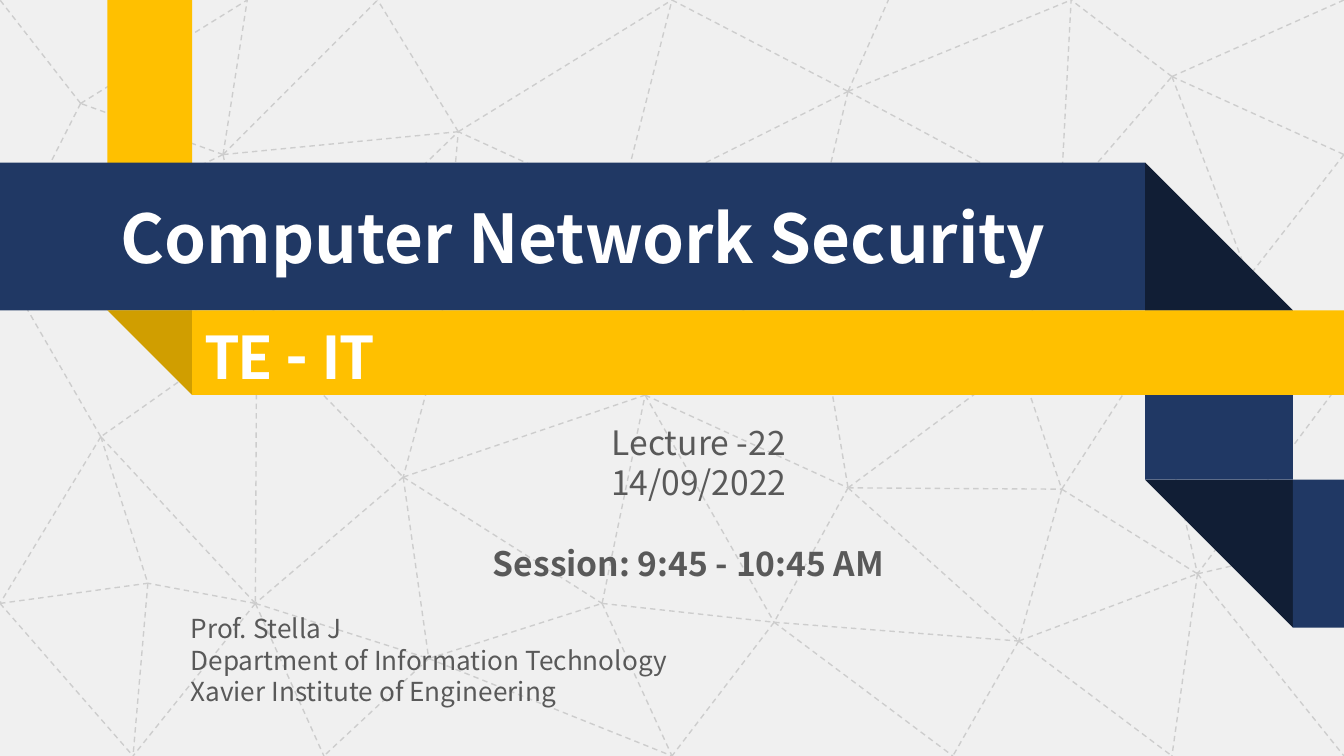
from dataclasses import dataclass

from lxml import etree
from pptx import Presentation
from pptx.dml.color import RGBColor
from pptx.enum import dml, shapes, text
from pptx.oxml import ns
from pptx.util import Inches, Pt


@dataclass(frozen=True)
class Theme:
    paper: str = "F0F0F0"
    mesh: str = "CDCDCD"
    navy: str = "203864"
    navy_fold: str = "111E35"
    gold: str = "FFC000"
    gold_fold: str = "D09E00"
    white: str = "FFFFFF"
    grey: str = "595959"
    font: str = "Noto Sans CJK SC"
    banner_font: str = "Calibri"
    heading: int = 36
    session: int = 18
    author: int = 14
    mesh_width: float = 0.75


THEME = Theme()
WIDTH = 10
HEIGHT = WIDTH * 9 / 16

# Ribbon edges shared by the bands and their folds
NAVY_TOP, NAVY_H = 1.21, 1.1
GOLD_LEFT, GOLD_W = 0.8, 0.63
GOLD_TOP = NAVY_TOP + NAVY_H
GOLD_RIGHT = GOLD_LEFT + GOLD_W
FOLD_LEFT = 8.52
FOLD_RIGHT = FOLD_LEFT + NAVY_H
FOLD_TOP = 3.57

MESH_NODES = {
    "A": (1.66, 1.15), "B": (1.84, 0), "C": (0, 1.95), "D": (2.81, 0),
    "E": (3.41, 0.98), "F": (1.91, 2.43), "G": (3.27, 2.56), "H": (3, 3.55),
    "I": (1.9, 4.49), "J": (0.75, 3.25), "K": (0, 4.49), "L": (1.1, 4.34),
    "M": (0.99, HEIGHT), "N": (3.19, 4.9), "O": (2.41, HEIGHT),
    "P": (4.48, 4.49), "Q": (5, HEIGHT), "R": (4.8, 2.94), "S": (4.61, 1.53),
    "T": (5, 0), "U": (6.31, 0.68), "V": (6.02, 1.89), "W": (6.31, 3.63),
    "X": (5.76, 4.63), "Y": (6.61, 0), "Z": (7.89, 1.53), "a": (7.58, 2.69),
    "b": (7.9, 3.64), "c": (7.58, 4.77), "d": (7.09, HEIGHT),
    "e": (8.72, HEIGHT), "f": (8.54, 2.65), "g": (8.72, 0.57), "h": (7.97, 0),
    "i": (WIDTH, 0), "j": (WIDTH, 1.15), "k": (9.29, 2.06),
    "l": (WIDTH, 2.81), "m": (8.91, 4.27), "n": (WIDTH, HEIGHT),
    "o": (WIDTH, 4.02), "p": (0.6, 0.77), "q": (0, 0),
}
# Each node with the neighbours it is joined to
MESH_EDGES = {
    "A": "BCDEFp", "E": "DT", "F": "ECHIJ", "G": "HRES", "H": "INPR",
    "I": "JMNOL", "J": "CKL", "K": "LM", "L": "M", "N": "OPQ", "P": "QRX",
    "R": "SVWX", "S": "ETU", "T": "U", "U": "VYZh", "V": "Wa", "W": "Xabc",
    "X": "Qcd", "Z": "afghk", "a": "b", "b": "cfm", "c": "dem", "f": "klm",
    "g": "hijk", "j": "k", "k": "l", "l": "m", "m": "eno", "p": "BCq",
}


def rgb(colour):
    return RGBColor.from_string(colour)


def add_block(slide, box, colour, kind=shapes.MSO_SHAPE.RECTANGLE):
    block = slide.shapes.add_shape(kind, *map(Inches, box))
    block.shadow.inherit = False
    block.fill.solid()
    block.fill.fore_color.rgb = rgb(colour)
    block.line.fill.background()
    return block


def add_fold(slide, left, top, size, colour, rotation=0):
    fold = add_block(slide, (left, top, size, size), colour,
                     shapes.MSO_SHAPE.RIGHT_TRIANGLE)
    fold.rotation = rotation


def add_mesh(slide):
    for start, neighbours in MESH_EDGES.items():
        for end in neighbours:
            edge = slide.shapes.add_connector(
                shapes.MSO_CONNECTOR.STRAIGHT,
                *map(Inches, MESH_NODES[start] + MESH_NODES[end]))
            edge.line.color.rgb = rgb(THEME.mesh)
            edge.line.width = Pt(THEME.mesh_width)
            edge.line.dash_style = dml.MSO_LINE.DASH
            etree.SubElement(edge._element.spPr, ns.qn("a:effectLst"))


def add_line(paragraph, words, size, colour, bold=False, font=THEME.font,
             align=text.PP_ALIGN.LEFT):
    paragraph.alignment = align
    run = paragraph.add_run()
    run.text = words
    run.font.name = font
    run.font.size = Pt(size)
    run.font.bold = bold
    run.font.color.rgb = rgb(colour)


def add_text_frame(slide, box, wrap=True):
    frame = slide.shapes.add_textbox(*map(Inches, box)).text_frame
    frame.word_wrap = wrap
    frame.auto_size = text.MSO_AUTO_SIZE.SHAPE_TO_FIT_TEXT
    return frame


def next_paragraph(frame):
    """Give the first paragraph while it is empty, then new ones."""
    first = frame.paragraphs[0]
    return frame.add_paragraph() if first.runs else first


def add_ribbons(slide):
    """Draw the folded bands and give back the one that names the class."""
    add_block(slide, (FOLD_LEFT, GOLD_TOP, NAVY_H, FOLD_TOP - GOLD_TOP), THEME.navy)
    add_fold(slide, FOLD_LEFT, FOLD_TOP, NAVY_H, THEME.navy_fold, 180)
    add_block(slide, (FOLD_RIGHT, FOLD_TOP, WIDTH - FOLD_RIGHT, NAVY_H), THEME.navy)
    add_block(slide, (GOLD_LEFT, 0, GOLD_W, GOLD_TOP), THEME.gold)
    add_block(slide, (0, NAVY_TOP, FOLD_LEFT, NAVY_H), THEME.navy)
    add_fold(slide, FOLD_LEFT, NAVY_TOP, NAVY_H, THEME.navy_fold)
    add_fold(slide, GOLD_LEFT, GOLD_TOP, GOLD_W, THEME.gold_fold, 180)
    return add_block(slide, (GOLD_RIGHT, GOLD_TOP, WIDTH - GOLD_RIGHT, GOLD_W),
                     THEME.gold)


def add_headings(slide, class_band):
    title = add_text_frame(slide, (GOLD_LEFT, 1.41, 7.23, 0.71), wrap=False)
    add_line(title.paragraphs[0], "Computer Network Security", THEME.heading,
             THEME.white, bold=True)
    class_band.text_frame.vertical_anchor = text.MSO_ANCHOR.MIDDLE
    add_line(class_band.text_frame.paragraphs[0], "TE - IT", THEME.heading,
             THEME.white, bold=True, font=THEME.banner_font)


def add_details(slide):
    author = add_text_frame(slide, (1.32, 4.51, 4.06, 0.81))
    for words in ("Prof. Stella J", "Department of Information Technology",
                  "Xavier Institute of Engineering"):
        add_line(next_paragraph(author), words, THEME.author, THEME.grey)

    lecture = add_text_frame(slide, (3.23, 3.09, 3.94, 1.31))
    for words in ("Lecture -22", "14/09/2022"):
        add_line(next_paragraph(lecture), words, THEME.session, THEME.grey,
                 align=text.PP_ALIGN.CENTER)
    session = next_paragraph(lecture)
    session.space_before = Pt(21.5)
    session._p.get_or_add_pPr().set("marL", str(Inches(0.34)))
    add_line(session, "Session: 9:45 - 10:45 AM", THEME.session, THEME.grey, bold=True)


def main():
    deck = Presentation()
    deck.slide_width, deck.slide_height = Inches(WIDTH), Inches(HEIGHT)
    slide = deck.slides.add_slide(deck.slide_layouts[6])
    add_block(slide, (0, 0, WIDTH, HEIGHT), THEME.paper)
    add_mesh(slide)
    class_band = add_ribbons(slide)
    add_headings(slide, class_band)
    add_details(slide)
    deck.save("out.pptx")


if __name__ == "__main__":
    main()
